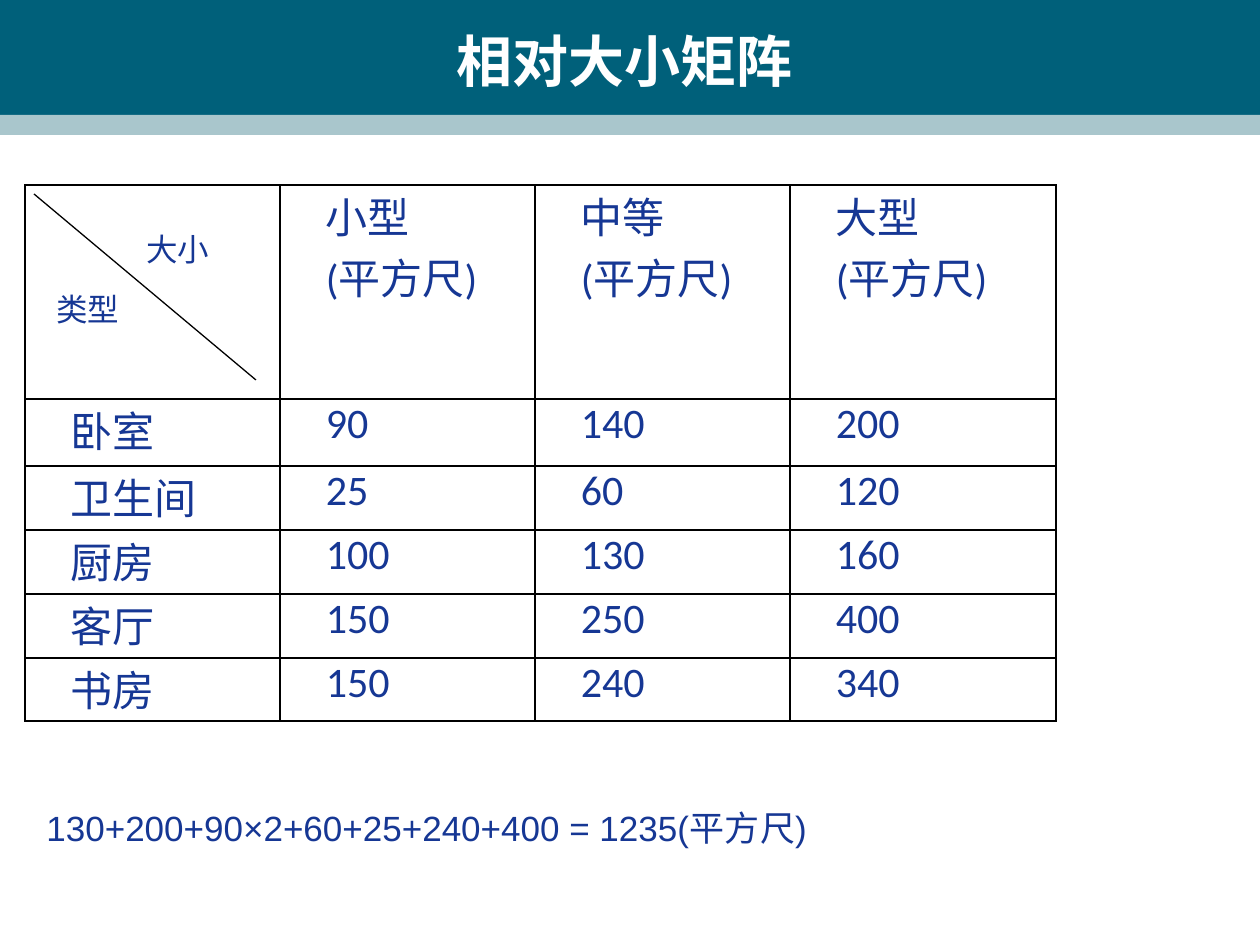
from lxml import etree
from pptx import Presentation
from pptx.dml.color import RGBColor
from pptx.enum.shapes import MSO_CONNECTOR, MSO_SHAPE
from pptx.enum.text import MSO_ANCHOR, PP_ALIGN
from pptx.oxml import parse_xml
from pptx.oxml.ns import nsdecls, qn
from pptx.util import Pt

PX = 914400 // 126
COLORS = {"teal": "00607A", "mist": "A9C6CC", "white": "FFFFFF", "navy": "163794", "black": "000000"}
FORMATS = {
    "title": {"name": "DejaVu Sans", "size": Pt(32), "bold": True},
    "cell": {"name": "Calibri", "size": Pt(24)},
    "label": {"name": "Arial", "size": Pt(18)},
    "sum": {"name": "Arial", "size": Pt(20)},
}


def write(frame, text, style, color, alignment):
    frame.text = text
    for paragraph in frame.paragraphs:
        paragraph.alignment = alignment
        for name, value in FORMATS[style].items():
            setattr(paragraph.font, name, value)
        paragraph.font.color.rgb = RGBColor.from_string(COLORS[color])


def add_box(box, fill, line=None):
    shape = slide.shapes.add_shape(MSO_SHAPE.RECTANGLE, *[value * PX for value in box])
    shape.shadow.inherit = False
    shape.fill.solid()
    shape.fill.fore_color.rgb = RGBColor.from_string(COLORS[fill])
    if line:
        shape.line.color.rgb = RGBColor.from_string(COLORS[line])
        shape.line.width = Pt(0.75)
    else:
        shape.line.fill.background()
    return shape


presentation = Presentation()
presentation.slide_width = 1260 * PX
presentation.slide_height = 945 * PX
slide = presentation.slides.add_slide(presentation.slide_layouts[6])

add_box((0, 0, 1260, 115), "teal")
add_box((0, 115, 1260, 20), "mist")

title = slide.shapes.add_textbox(42 * PX, 21 * PX, 1165 * PX, 78 * PX)
title.text_frame.word_wrap = True
title.text_frame.vertical_anchor = MSO_ANCHOR.MIDDLE
write(title.text_frame, "相对大小矩阵", "title", "white", PP_ALIGN.CENTER)

rows = [
    ("", "小型\n(平方尺)", "中等\n(平方尺)", "大型\n(平方尺)"),
    ("卧室", "90", "140", "200"),
    ("卫生间", "25", "60", "120"),
    ("厨房", "100", "130", "160"),
    ("客厅", "150", "250", "400"),
    ("书房", "150", "240", "340"),
]
widths = [255, 255, 255, 266]
heights = [214, 67, 64, 64, 64, 63]
table = slide.shapes.add_table(
    len(rows), len(widths), 25 * PX, 185 * PX, sum(widths) * PX, sum(heights) * PX
).table
table.first_row = False
table.horz_banding = False
for column, width in zip(table.columns, widths):
    column.width = width * PX
for row, height in zip(table.rows, heights):
    row.height = height * PX

cell_format = {"margin_left": 9 * PX, "margin_right": 9 * PX, "margin_top": 0, "margin_bottom": 0}
for row_index, row in enumerate(rows):
    for column_index, text in enumerate(row):
        cell = table.cell(row_index, column_index)
        for name, value in cell_format.items():
            setattr(cell, name, value)
        for side in ("lnL", "lnR", "lnT", "lnB"):
            cell._tc.get_or_add_tcPr().append(parse_xml(
                f'<a:{side} {nsdecls("a")} w="12700"><a:solidFill>'
                f'<a:srgbClr val="{COLORS["black"]}"/></a:solidFill></a:{side}>'
            ))
        cell.fill.background()
        write(cell.text_frame, text, "cell", "navy", PP_ALIGN.JUSTIFY)
        for paragraph in cell.text_frame.paragraphs:
            paragraph._p.get_or_add_pPr().set("indent", str(37 * PX))

for text, box in [("类型", (44, 284, 91, 77)), ("大小", (134, 224, 115, 49))]:
    label = add_box(box, "white", "white")
    label.text_frame.vertical_anchor = MSO_ANCHOR.TOP
    write(label.text_frame, text, "label", "navy", PP_ALIGN.LEFT)

diagonal = slide.shapes.add_connector(
    MSO_CONNECTOR.STRAIGHT, 34 * PX, 194 * PX, 256 * PX, 380 * PX
)
diagonal.line.color.rgb = RGBColor.from_string(COLORS["black"])
diagonal.line.width = Pt(0.75)
etree.SubElement(diagonal._element.spPr, qn("a:effectLst"))

total = slide.shapes.add_textbox(34 * PX, 800 * PX, 914 * PX, 55 * PX)
total.text_frame.word_wrap = True
write(total.text_frame, "130+200+90×2+60+25+240+400 = 1235(平方尺)", "sum", "navy", PP_ALIGN.LEFT)

presentation.save("out.pptx")
